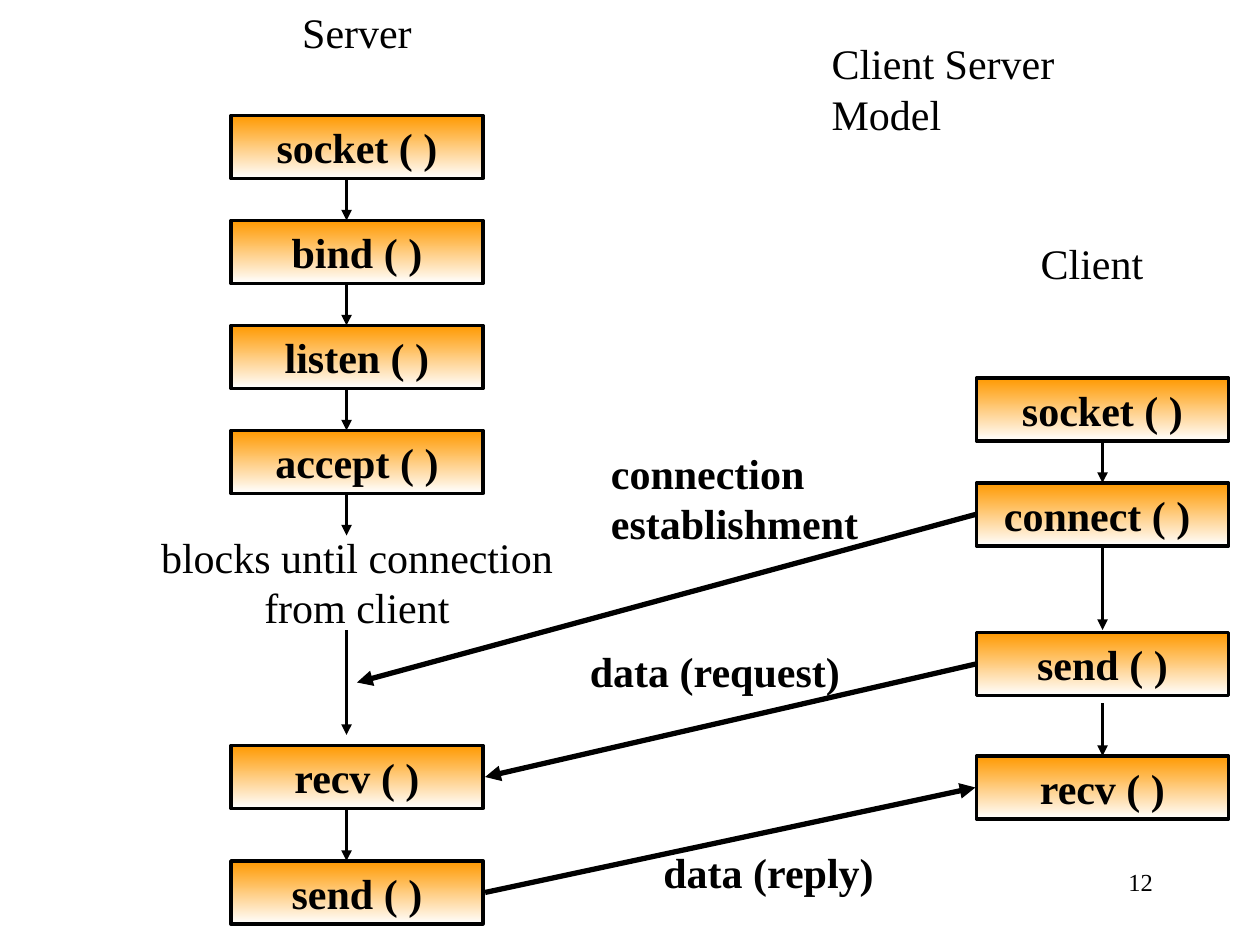
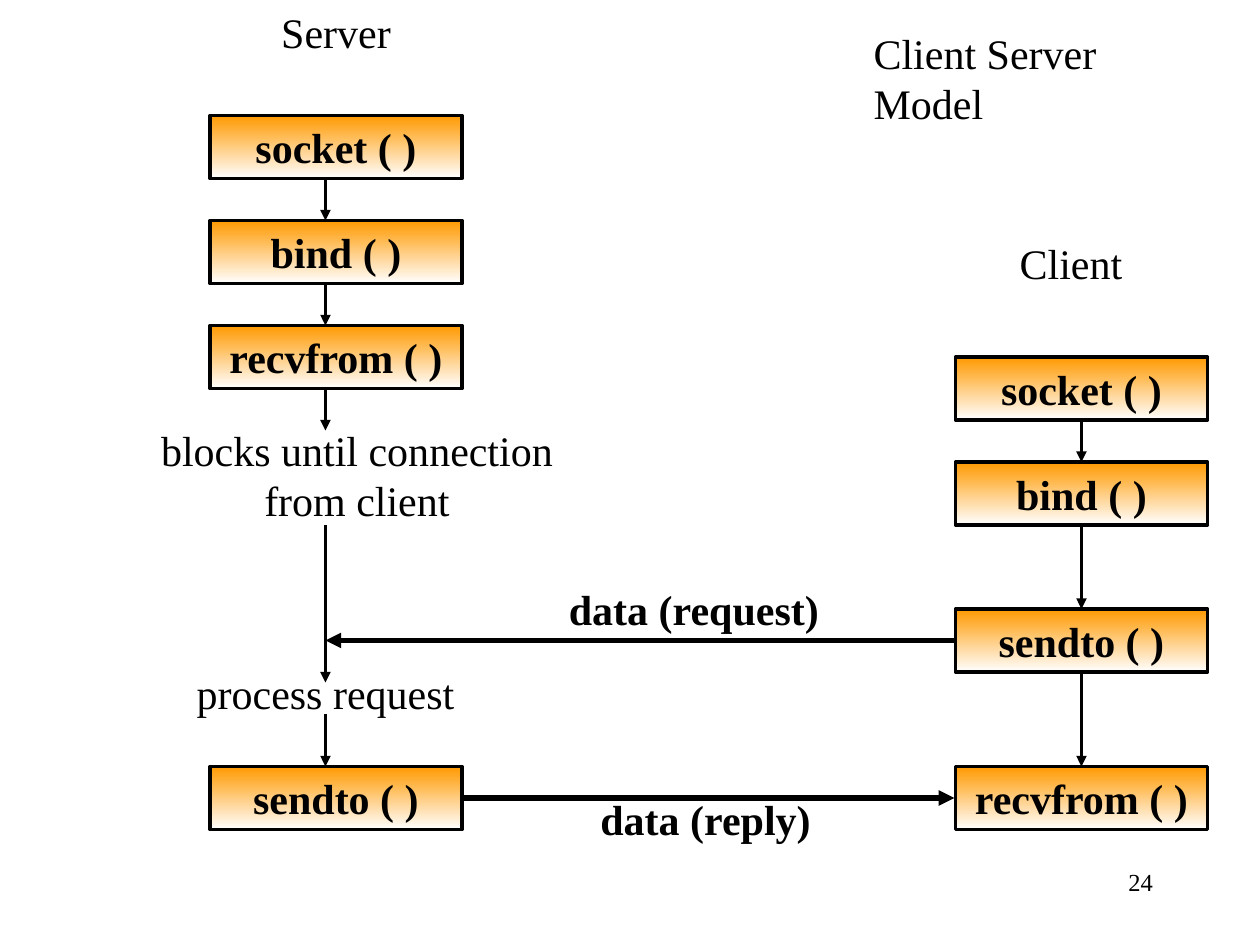
"""Builds two slides that show the socket calls of a client and a server."""
from dataclasses import dataclass

from lxml.etree import SubElement
from pptx import Presentation
from pptx.dml.color import RGBColor
from pptx.enum.shapes import MSO_CONNECTOR, MSO_SHAPE
from pptx.enum.text import MSO_ANCHOR, MSO_AUTO_SIZE, PP_ALIGN
from pptx.oxml.ns import qn
from pptx.slide import Slide
from pptx.text.text import TextFrame
from pptx.util import Emu, Inches, Pt

BLACK = RGBColor(0x00, 0x00, 0x00)
ORANGE = RGBColor(0xFF, 0x99, 0x00)
WHITE = RGBColor(0xFF, 0xFF, 0xFF)
FONT = "Times New Roman"
TEXT_SIZE, PAGE_SIZE = 24, 14
FLOW_WEIGHT, MESSAGE_WEIGHT = 2, 3
SLIDE_WIDTH, SLIDE_HEIGHT = Inches(10), Inches(7.5)
COLUMNS = 120
CELL = SLIDE_WIDTH // COLUMNS
CALL_WIDTH, ROW_HEIGHT = 24, 6
HEADING_WIDTH, TITLE_WIDTH, LABEL_WIDTH = 32, 35, 27
TITLE_ONLY = 5


@dataclass(frozen=True)
class Call:
    """A function call and the row where its box starts."""
    name: str
    row: float


@dataclass(frozen=True)
class Lane:
    """One side of the dialogue, with its calls and the arrows down its axis."""
    name: str
    column: float
    heading_column: float
    heading_row: float
    axis: float
    calls: tuple[Call, ...]
    steps: tuple[tuple[float, float], ...]


@dataclass(frozen=True)
class Caption:
    """Free text beside the lanes."""
    words: str
    column: float
    row: float
    width: float = LABEL_WIDTH
    lines: int = 1
    bold: bool = True
    align: PP_ALIGN = PP_ALIGN.LEFT


@dataclass(frozen=True)
class Message:
    """An arrow from one lane to the other."""
    start: tuple[float, float]
    end: tuple[float, float]


@dataclass(frozen=True)
class Dialogue:
    """Everything that one slide shows."""
    page: str
    title_at: tuple[float, float]
    lanes: tuple[Lane, ...]
    captions: tuple[Caption, ...]
    messages: tuple[Message, ...]


def server(column: float, calls: tuple[Call, ...], steps: tuple[tuple[float, float], ...]) -> Lane:
    """Return the server lane, headed at the top of the slide."""
    return Lane("Server", column, column - 4, 0, column + 11, calls, steps)


def client(column: float, calls: tuple[Call, ...], steps: tuple[tuple[float, float], ...]) -> Lane:
    """Return the client lane, headed lower down."""
    return Lane("Client", column, column - 5, 22, column + 12, calls, steps)


def waiting(row: float) -> Caption:
    """Return the note about the blocked server."""
    return Caption("blocks until connection from client", 13, row, 42, 2, False, PP_ALIGN.CENTER)


DIALOGUES = (
    Dialogue(
        page="12",
        title_at=(78, 3),
        lanes=(
            server(
                22,
                (Call("socket ( )", 11), Call("bind ( )", 21), Call("listen ( )", 31),
                 Call("accept ( )", 41), Call("recv ( )", 71), Call("send ( )", 82)),
                ((17, 21), (27, 31), (37, 41), (47, 51), (60, 70), (77, 82)),
            ),
            client(
                93,
                (Call("socket ( )", 36), Call("connect ( ) ", 46),
                 Call("send ( )", 60.25), Call("recv ( )", 72)),
                ((42, 46), (52, 60), (67, 72)),
            ),
        ),
        captions=(
            waiting(50),
            Caption("connection establishment", 57, 42, lines=2),
            Caption("data (request)", 55, 60.85),
            Caption("data (reply)", 62, 80),
        ),
        messages=(
            Message((92.9, 49), (34, 65)),
            Message((92.9, 63.25), (46.2, 74)),
            Message((46.2, 85), (92.9, 75)),
        ),
    ),
    Dialogue(
        page="24",
        title_at=(82, 2),
        lanes=(
            server(
                20,
                (Call("socket ( )", 11), Call("bind ( )", 21),
                 Call("recvfrom ( )", 31), Call("sendto ( )", 73)),
                ((17, 21), (27, 31), (37, 41), (50, 65), (68, 73)),
            ),
            client(
                91,
                (Call("socket ( )", 34), Call("bind ( )", 44),
                 Call("sendto ( )", 58), Call("recvfrom ( )", 73)),
                ((40, 44), (50, 58), (64, 73)),
            ),
        ),
        captions=(
            waiting(39.85),
            Caption("process request", 14, 63, 34, 1, False, PP_ALIGN.CENTER),
            Caption("data (request)", 53, 55),
            Caption("data (reply)", 56, 75),
        ),
        messages=(
            Message((91, 61), (31, 61)),
            Message((44.1, 76), (90.9, 76)),
        ),
    ),
)


def cells(*counts: float) -> list[Emu]:
    """Turn counts of grid cells into lengths."""
    return [Emu(round(count * CELL)) for count in counts]


def write(frame: TextFrame, words: str, align: PP_ALIGN, bold: bool = False,
          size: int = TEXT_SIZE, wrap: bool = True, anchor: MSO_ANCHOR = MSO_ANCHOR.TOP) -> None:
    """Put one formatted run into a text frame."""
    frame.auto_size = MSO_AUTO_SIZE.NONE
    frame.word_wrap = wrap
    frame.vertical_anchor = anchor
    paragraph = frame.paragraphs[0]
    paragraph.alignment = align
    run = paragraph.add_run()
    run.text = words
    run.font.name = FONT
    run.font.size = Pt(size)
    run.font.bold = bold
    run.font.color.rgb = BLACK


def add_title(slide: Slide, column: float, row: float) -> None:
    """Move the title placeholder to its cell and fill it."""
    title = slide.shapes.title
    title.left, title.top, title.width, title.height = cells(column, row, TITLE_WIDTH, ROW_HEIGHT)
    write(title.text_frame, "Client Server Model", PP_ALIGN.LEFT, wrap=False)


def add_caption(slide: Slide, caption: Caption, size: int = TEXT_SIZE) -> None:
    """Add a text box for a caption."""
    height = ROW_HEIGHT + 4.8 * (caption.lines - 1)
    box = slide.shapes.add_textbox(*cells(caption.column, caption.row, caption.width, height))
    write(box.text_frame, caption.words, caption.align, caption.bold, size)


def add_call(slide: Slide, call: Call, column: float) -> None:
    """Draw a call as a box that fades from orange to white."""
    box = slide.shapes.add_shape(
        MSO_SHAPE.RECTANGLE, *cells(column, call.row, CALL_WIDTH, ROW_HEIGHT))
    box.shadow.inherit = False
    box.fill.gradient()
    box.fill.gradient_angle = 270
    for stop, colour, position in zip(box.fill.gradient_stops, (ORANGE, WHITE), (0, 1)):
        stop.color.rgb = colour
        stop.position = position
    box.line.color.rgb = BLACK
    box.line.width = Pt(FLOW_WEIGHT)
    write(box.text_frame, call.name, PP_ALIGN.CENTER, bold=True, wrap=False,
          anchor=MSO_ANCHOR.MIDDLE)


def add_arrow(slide: Slide, start: tuple[float, float], end: tuple[float, float],
              weight: float) -> None:
    """Draw a straight black arrow between two grid points."""
    arrow = slide.shapes.add_connector(MSO_CONNECTOR.STRAIGHT, *cells(*start, *end))
    arrow.line.color.rgb = BLACK
    arrow.line.width = Pt(weight)
    SubElement(arrow.line._get_or_add_ln(), qn("a:tailEnd"), type="triangle")
    SubElement(arrow._element.spPr, qn("a:effectLst"))


def add_lane(slide: Slide, lane: Lane) -> None:
    """Draw the heading, calls and downward arrows of a lane."""
    add_caption(slide, Caption(lane.name, lane.heading_column, lane.heading_row,
                               HEADING_WIDTH, bold=False, align=PP_ALIGN.CENTER))
    for call in lane.calls:
        add_call(slide, call, lane.column)
    for top, bottom in lane.steps:
        add_arrow(slide, (lane.axis, top), (lane.axis, bottom), FLOW_WEIGHT)


def add_dialogue(slide: Slide, dialogue: Dialogue) -> None:
    """Draw a whole dialogue on its slide."""
    add_title(slide, *dialogue.title_at)
    for lane in dialogue.lanes:
        add_lane(slide, lane)
    for caption in dialogue.captions:
        add_caption(slide, caption)
    for message in dialogue.messages:
        add_arrow(slide, message.start, message.end, MESSAGE_WEIGHT)
    page = Caption(dialogue.page, 86, 82, 25, bold=False, align=PP_ALIGN.RIGHT)
    add_caption(slide, page, PAGE_SIZE)


def main() -> None:
    """Build and save the presentation."""
    deck = Presentation()
    deck.slide_width, deck.slide_height = SLIDE_WIDTH, SLIDE_HEIGHT
    for dialogue in DIALOGUES:
        add_dialogue(deck.slides.add_slide(deck.slide_layouts[TITLE_ONLY]), dialogue)
    deck.save("out.pptx")


if __name__ == "__main__":
    main()
